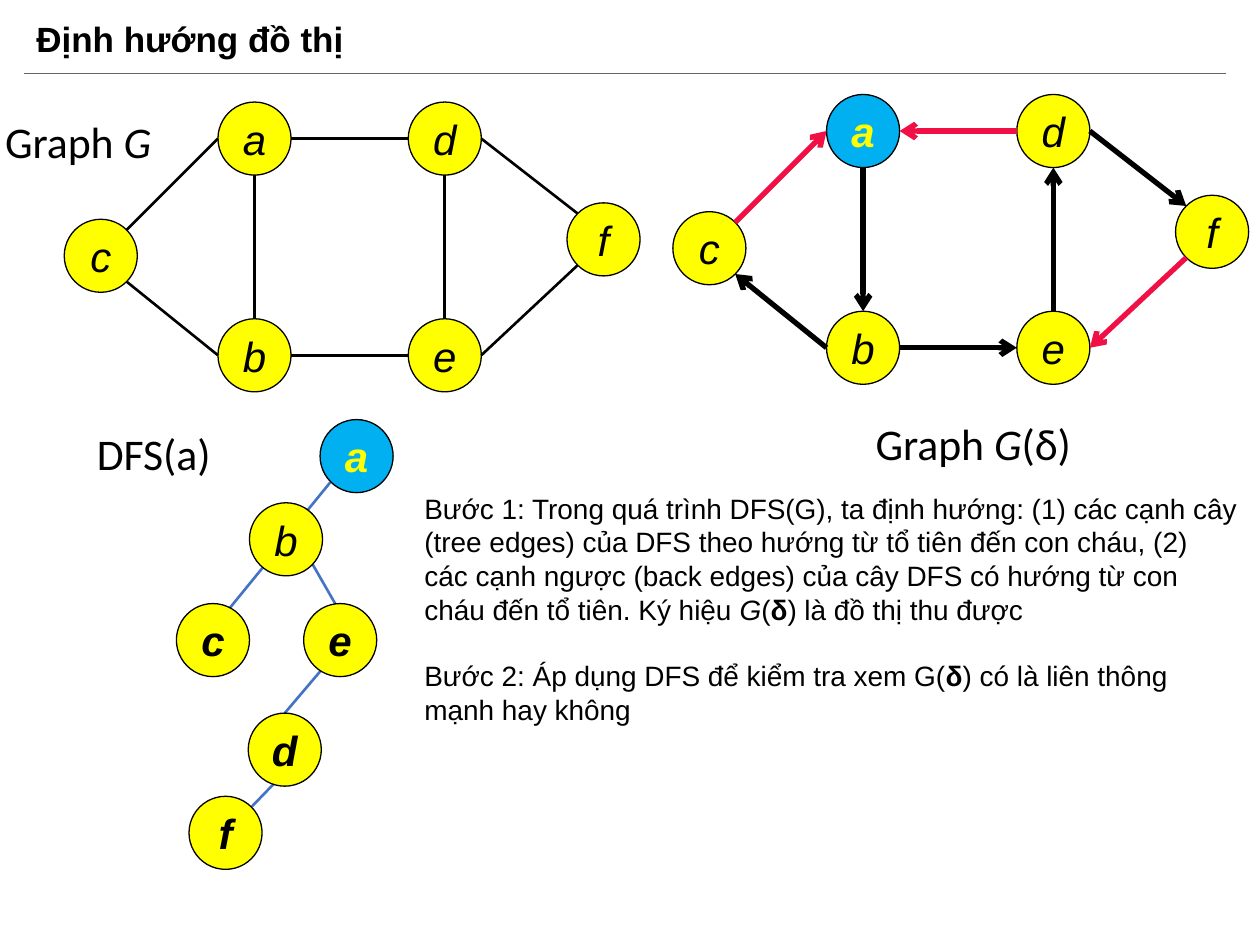
from pptx import Presentation
from pptx.dml.color import RGBColor
from pptx.enum.shapes import MSO_CONNECTOR, MSO_SHAPE
from pptx.enum.text import MSO_ANCHOR, PP_ALIGN
from pptx.oxml.ns import qn
from pptx.oxml.xmlchemy import OxmlElement
from pptx.util import Inches, Pt

STRAIGHT = MSO_CONNECTOR.STRAIGHT
OVAL = MSO_SHAPE.OVAL
CENTER, LEFT = PP_ALIGN.CENTER, PP_ALIGN.LEFT
MIDDLE, TOP = MSO_ANCHOR.MIDDLE, MSO_ANCHOR.TOP

BLACK, YELLOW, BLUE = "000000", "FFFF00", "00B0F0"
RED, TREE_BLUE, GRAY = "F01045", "4472C4", "666666"

DIAMETER = 0.58
RADIUS = DIAMETER / 2
DIAGONAL = RADIUS * 0.5 ** 0.5
SITES = {
    "N": (0, -RADIUS), "S": (0, RADIUS), "W": (-RADIUS, 0), "E": (RADIUS, 0),
    "NW": (-DIAGONAL, -DIAGONAL), "NE": (DIAGONAL, -DIAGONAL),
    "SW": (-DIAGONAL, DIAGONAL), "SE": (DIAGONAL, DIAGONAL),
}

VERTICES = {
    "a": (2.02, 1.1), "b": (2.02, 2.82), "c": (0.8, 2.03),
    "d": (3.53, 1.1), "e": (3.53, 2.82), "f": (4.79, 1.9),
}
TREE_EDGES = [
    ("a", "S", "b", "N"), ("b", "W", "c", "SE"), ("b", "E", "e", "W"),
    ("e", "N", "d", "S"), ("d", "E", "f", "NW"),
]
BACK_EDGES = [
    ("c", "NE", "a", "W"), ("d", "W", "a", "E"), ("f", "SW", "e", "E"),
]

DFS_VERTICES = {
    "a": (2.83, 3.62), "b": (2.27, 4.28), "c": (1.69, 5.08),
    "e": (2.7, 5.08), "d": (2.26, 5.95), "f": (1.79, 6.61),
}
DFS_LINES = [
    ((2.62, 3.83), (2.18, 4.37)), ((2.13, 4.45), (1.69, 4.99)),
    ((2.43, 4.39), (2.7, 4.86)), ((2.65, 5.2), (2.26, 5.66)),
    ((2.3, 6.09), (2, 6.4)),
]

STEPS = [
    [("Bước 1: Trong quá trình DFS(G), ta định hướng: (1) các cạnh cây "
      "(tree edges) của DFS theo hướng từ tổ tiên đến con cháu, (2) các cạnh "
      "ngược (back edges) của cây DFS có hướng từ con cháu đến tổ tiên. "
      "Ký hiệu ", ""),
     ("G", "i"), ("(", ""), ("δ", "b"), (") là đồ thị thu được", "")],
    [("Bước 2: Áp dụng DFS để kiểm tra xem G(", ""), ("δ", "b"),
     (") có là liên thông mạnh hay không", "")],
]


def rgb(value):
    """Turn a hex string into a colour."""
    return RGBColor.from_string(value)


def write(tf, paragraphs, size, font="Arial", color=BLACK, align=LEFT,
          anchor=TOP, wrap=True, gap=0, spacing=1.0):
    """Fill a text frame with paragraphs of (text, style letters) runs."""
    tf.word_wrap = wrap
    tf.vertical_anchor = anchor
    for i, runs in enumerate(paragraphs):
        p = tf.add_paragraph() if i else tf.paragraphs[0]
        p.alignment = align
        p.line_spacing = spacing
        p.space_before = Pt(gap if i else 0)
        for text, style in runs:
            r = p.add_run()
            r.text = text
            r.font.name = font
            r.font.size = Pt(size)
            r.font.color.rgb = rgb(color)
            r.font.bold = "b" in style
            r.font.italic = "i" in style


def add_text(s, box, paragraphs, size, **fmt):
    """Add a text box at (left, top, width, height)."""
    sp = s.shapes.add_textbox(*map(Inches, box))
    write(sp.text_frame, paragraphs, size, **fmt)
    return sp


def add_line(s, start, end, color=BLACK, width=1.5, arrow=False):
    """Add a straight line, with an open arrowhead at its end on request."""
    c = s.shapes.add_connector(STRAIGHT, *map(Inches, (*start, *end)))
    c.line.color.rgb = rgb(color)
    c.line.width = Pt(width)
    sp_pr = c._element.spPr
    if arrow:
        tail = OxmlElement("a:tailEnd")
        tail.set("type", "arrow")
        sp_pr.find(qn("a:ln")).append(tail)
    sp_pr.append(OxmlElement("a:effectLst"))


def add_vertex(s, name, center, style="i", fill=YELLOW, color=BLACK):
    """Add a labelled circle around a centre."""
    x, y = center
    sp = s.shapes.add_shape(OVAL, Inches(x - RADIUS), Inches(y - RADIUS),
                            Inches(DIAMETER), Inches(DIAMETER))
    sp.shadow.inherit = False
    sp.fill.solid()
    sp.fill.fore_color.rgb = rgb(fill)
    sp.line.color.rgb = rgb(BLACK)
    sp.line.width = Pt(0.75)
    write(sp.text_frame, [[(name, style)]], 24, color=color, align=CENTER,
          anchor=MIDDLE, wrap=False)


def add_root(s, name, center):
    """Add the highlighted start vertex."""
    add_vertex(s, name, center, style="bi", fill=BLUE, color=YELLOW)


def site(center, side):
    """Return the point on a vertex outline facing a compass side."""
    return tuple(c + d for c, d in zip(center, SITES[side]))


def add_graph(s, shift=(0, 0), directed=False):
    """Add the six-vertex graph, plain or oriented by DFS from a."""
    centers = {n: (x + shift[0], y + shift[1])
               for n, (x, y) in VERTICES.items()}
    for name, center in centers.items():
        if directed and name == "a":
            add_root(s, name, center)
        else:
            add_vertex(s, name, center)
    width = 3 if directed else 1.5
    back_color = RED if directed else BLACK
    for edges, color in ((TREE_EDGES, BLACK), (BACK_EDGES, back_color)):
        for u, u_side, v, v_side in edges:
            add_line(s, site(centers[u], u_side), site(centers[v], v_side),
                     color, width, directed)


def add_dfs_tree(s):
    """Add the DFS tree rooted at a."""
    for start, end in DFS_LINES:
        add_line(s, start, end, TREE_BLUE)
    for name, center in DFS_VERTICES.items():
        if name == "a":
            add_root(s, name, center)
        else:
            add_vertex(s, name, center, style="i" if name == "b" else "bi")


def main():
    """Build and save the slide."""
    prs = Presentation()
    prs.slide_width, prs.slide_height = Inches(10), Inches(7.5)
    s = prs.slides.add_slide(prs.slide_layouts[6])
    add_text(s, (0.19, 0.08, 8.62, 0.5), [[("Định hướng đồ thị", "b")]], 20,
             anchor=MIDDLE, spacing=0.9)
    add_line(s, (0.19, 0.58), (9.73, 0.58), GRAY, 0.5)

    label = add_text(s, (0, 0.86, 1.7, 0.52), [[("Graph ", ""), ("G", "i")]],
                     25, font="Calibri")
    label.text_frame.margin_left = Inches(0.04)
    add_graph(s)

    add_graph(s, shift=(4.83, -0.06), directed=True)
    add_text(s, (6.85, 3.26, 2.08, 0.52),
             [[("Graph ", ""), ("G", "i"), ("(δ)", "")]], 25, font="Calibri")

    add_text(s, (0.67, 3.34, 1.63, 0.52), [[("DFS(a)", "")]], 25,
             font="Calibri")
    add_dfs_tree(s)
    add_text(s, (3.27, 3.85, 6.66, 1.99), STEPS, 16, gap=19)
    prs.save("out.pptx")


if __name__ == "__main__":
    main()
